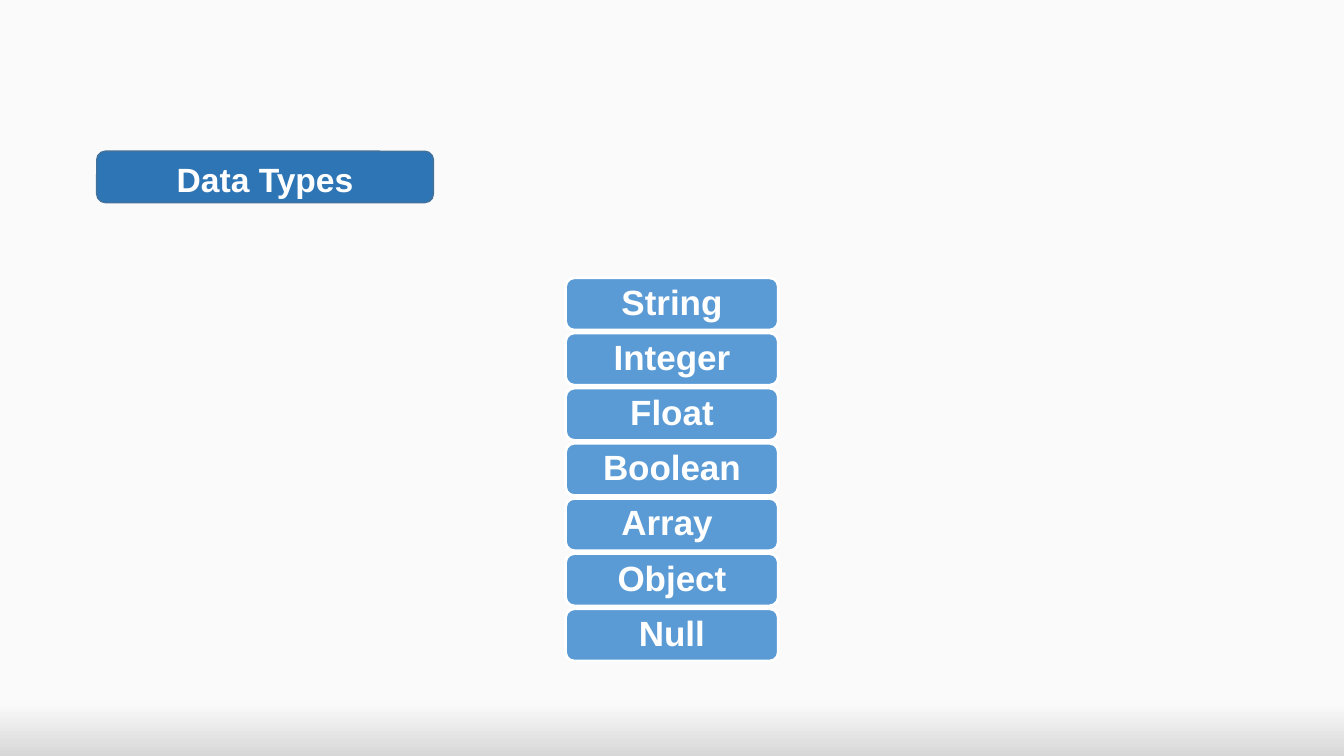
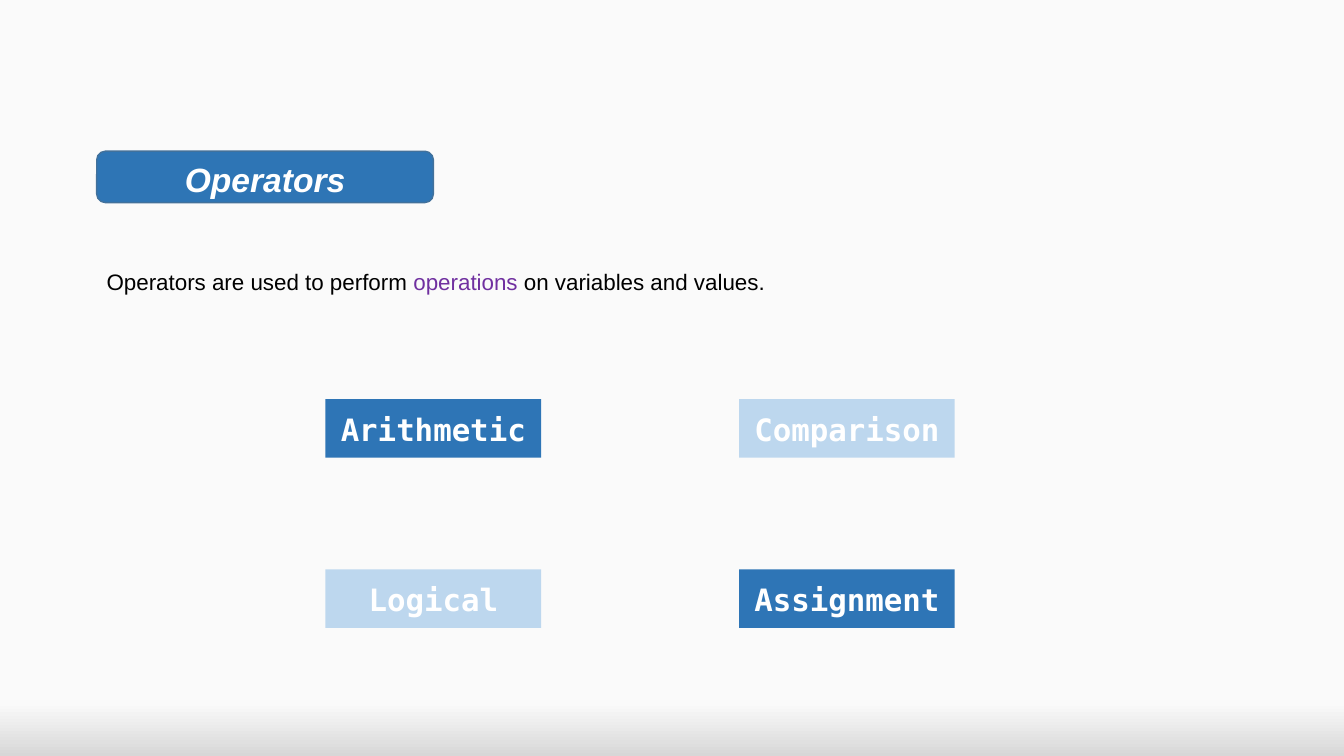
from pptx import Presentation
from pptx.dml.color import RGBColor
from pptx.enum.shapes import MSO_SHAPE
from pptx.enum.text import MSO_ANCHOR, PP_ALIGN
from pptx.util import Pt

ROUND, RECT = MSO_SHAPE.ROUNDED_RECTANGLE, MSO_SHAPE.RECTANGLE
TOP, MIDDLE, BOTTOM = MSO_ANCHOR.TOP, MSO_ANCHOR.MIDDLE, MSO_ANCHOR.BOTTOM
LEFT, CENTER = PP_ALIGN.LEFT, PP_ALIGN.CENTER

# Shared look
SANS, MONO = "Arial", "DejaVu Sans Mono"
WHITE, BLACK, PURPLE = "FFFFFF", "000000", "7030A0"
NAVY, EDGE, BLUE = "2E75B5", "42719B", "5B9BD5"
DARK, PALE = "2E75B6", "BDD7EE"
PAPER, SHADE = "FAFAFA", "D7D7D7"
TITLE = (69.1, 108, 240.5, 36.7)


def color(code):
    return RGBColor.from_string(code)


def write(shape, runs, size, font, bold=False, italic=False,
          anchor=TOP, align=CENTER, pad=3.6, space=1.0):
    """Fill one paragraph with (text, color) runs."""
    frame = shape.text_frame
    frame.word_wrap = True
    frame.vertical_anchor = anchor
    frame.margin_left = frame.margin_right = Pt(7.2)
    frame.margin_top = frame.margin_bottom = Pt(pad)
    para = frame.paragraphs[0]
    para.alignment = align
    para.line_spacing = space
    for text, code in runs:
        run = para.add_run()
        run.text = text
        run.font.name = font
        run.font.size = Pt(size)
        run.font.bold = bold
        run.font.italic = italic
        run.font.color.rgb = color(code)


def panel(slide, kind, box, fill, line=None, width=1):
    shape = slide.shapes.add_shape(kind, *map(Pt, box))
    shape.shadow.inherit = False
    shape.fill.solid()
    shape.fill.fore_color.rgb = color(fill)
    if line:
        shape.line.color.rgb = color(line)
        shape.line.width = Pt(width)
    else:
        shape.line.fill.background()
    return shape


def backdrop(master):
    """Light page that darkens along its foot."""
    fill = master.background.fill
    fill.gradient()
    fill.gradient_angle = 270
    for stop, place, code in zip(fill.gradient_stops, (0.93, 1), (PAPER, SHADE)):
        stop.position = place
        stop.color.rgb = color(code)


def title(slide, text, italic=False):
    shape = panel(slide, ROUND, TITLE, NAVY, EDGE)
    write(shape, [(text, WHITE)], 24, SANS, bold=True, italic=italic)


def stack(slide, box, names, gap):
    """Equal bars, one above the other."""
    left, top, width, height = box
    tall = (height - gap * (len(names) - 1)) / len(names)
    for row, name in enumerate(names):
        place = (left, top + row * (tall + gap), width, tall)
        bar = panel(slide, ROUND, place, BLUE, WHITE, 2)
        write(bar, [(name, WHITE)], 25, SANS, bold=True,
              anchor=MIDDLE, space=0.9)


def tiles(slide, box, names, wide, tall):
    """Two by two tiles in the corners of the box, in checkered tones."""
    left, top, width, height = box
    for spot, name in enumerate(names):
        row, col = divmod(spot, 2)
        place = (left + col * (width - wide), top + row * (height - tall),
                 wide, tall)
        tile = panel(slide, RECT, place, PALE if (row + col) % 2 else DARK)
        write(tile, [(name, WHITE)], 22, MONO, bold=True,
              anchor=BOTTOM, pad=7.2)


def note(slide, box, runs):
    shape = slide.shapes.add_textbox(*map(Pt, box))
    write(shape, runs, 16, SANS, align=LEFT, space=1.5)


def main():
    prs = Presentation()
    prs.slide_width, prs.slide_height = Pt(960), Pt(540)
    backdrop(prs.slide_master)
    blank = prs.slide_layouts[6]

    # Data types
    slide = prs.slides.add_slide(blank)
    title(slide, "Data Types")
    stack(slide, (404, 198.4, 152, 273.8),
          ["String", "Integer", "Float", "Boolean", "Array ", "Object", "Null"],
          2)

    # Operators
    slide = prs.slides.add_slide(blank)
    title(slide, "Operators", italic=True)
    note(slide, (69.1, 178.6, 604, 62), [
        ("Operators are used to perform ", BLACK),
        ("operations", PURPLE),
        (" on variables and values.", BLACK)])
    tiles(slide, (232.5, 285.1, 449.5, 163.4),
          ["Arithmetic", "Comparison", "Logical", "Assignment"], 154.1, 41.8)

    prs.save("out.pptx")


if __name__ == "__main__":
    main()
